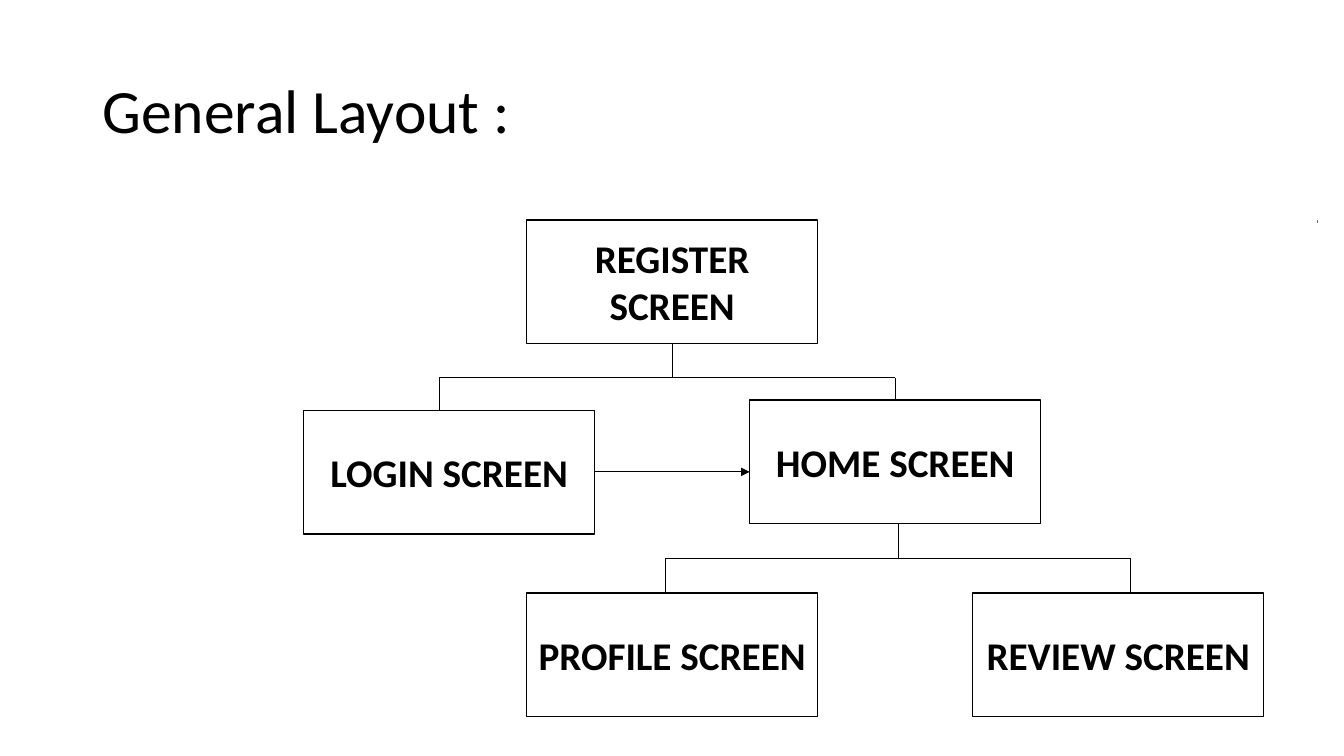
from pptx import Presentation
from pptx.dml.color import RGBColor
from pptx.enum.shapes import MSO_CONNECTOR, MSO_SHAPE
from pptx.enum.text import MSO_ANCHOR, PP_ALIGN
from pptx.oxml.ns import qn
from pptx.util import Cm, Pt
from lxml import etree

STRAIGHT = MSO_CONNECTOR.STRAIGHT
RECTANGLE = MSO_SHAPE.RECTANGLE
MIDDLE = MSO_ANCHOR.MIDDLE
LEFT, CENTER = PP_ALIGN.LEFT, PP_ALIGN.CENTER

HEADING = "General Layout :"
SCREENS = {
    "REGISTER SCREEN": (1, 5.54),
    "LOGIN SCREEN": (0, 10.34),
    "HOME SCREEN": (2, 10.08),
    "PROFILE SCREEN": (1, 14.94),
    "REVIEW SCREEN": (3, 14.94),
}
BRANCHES = [
    ("REGISTER SCREEN", 16.94, {"LOGIN SCREEN": 11.07, "HOME SCREEN": 22.56}),
    ("HOME SCREEN", 22.63, {"PROFILE SCREEN": 16.76, "REVIEW SCREEN": 28.48}),
]
COLORS = {"ink": "000000", "paper": "FFFFFF", "tick": "4472C4"}
FONT = "Calibri"
FIRST_LEFT, COLUMN_STEP = 7.65, 5.62
BOX_WIDTH, BOX_HEIGHT = 7.34, 3.12
STEM = 0.86
FLOW_Y = 11.89
TICK_X, TICK_TOP, TICK_BOTTOM = 33.2, 5.54, 5.61


def color(name):
    return RGBColor.from_string(COLORS[name])


def write(frame, text, size, align, bold=False):
    frame.word_wrap = True
    frame.vertical_anchor = MIDDLE
    paragraph = frame.paragraphs[0]
    paragraph.alignment = align
    run = paragraph.add_run()
    run.text = text
    run.font.name = FONT
    run.font.size = Pt(size)
    run.font.bold = bold
    run.font.color.rgb = color("ink")
    return paragraph


def connect(x1, y1, x2, y2, ink="ink", arrow=False):
    link = slide.shapes.add_connector(STRAIGHT, Cm(x1), Cm(y1), Cm(x2), Cm(y2))
    link.line.color.rgb = color(ink)
    link.line.width = Pt(0.5)
    properties = link._element.spPr
    if arrow:
        etree.SubElement(properties.find(qn("a:ln")), qn("a:tailEnd"), type="triangle")
    etree.SubElement(properties, qn("a:effectLst"))


def left_of(screen):
    return FIRST_LEFT + SCREENS[screen][0] * COLUMN_STEP


def top_of(screen):
    return SCREENS[screen][1]


presentation = Presentation()
presentation.slide_width, presentation.slide_height = Cm(33.87), Cm(19.05)
slide = presentation.slides.add_slide(presentation.slide_layouts[5])

heading = slide.shapes.title
heading.left, heading.top, heading.width, heading.height = Cm(2.33), Cm(1.01), Cm(29.21), Cm(3.68)
write(heading.text_frame, HEADING, 44, LEFT).line_spacing = 0.9

for parent, stem_x, children in BRANCHES:
    stem_top = top_of(parent) + BOX_HEIGHT
    bar_y = stem_top + STEM
    connect(stem_x, stem_top, stem_x, bar_y)
    for child, child_x in children.items():
        connect(stem_x, bar_y, child_x, bar_y)
        connect(child_x, bar_y, child_x, top_of(child))

for screen in SCREENS:
    box = slide.shapes.add_shape(
        RECTANGLE, Cm(left_of(screen)), Cm(top_of(screen)), Cm(BOX_WIDTH), Cm(BOX_HEIGHT))
    box.shadow.inherit = False
    box.fill.solid()
    box.fill.fore_color.rgb = color("paper")
    box.line.color.rgb = color("ink")
    box.line.width = Pt(1)
    write(box.text_frame, screen, 28, CENTER, bold=True)

connect(left_of("LOGIN SCREEN") + BOX_WIDTH, FLOW_Y, left_of("HOME SCREEN"), FLOW_Y, arrow=True)
connect(TICK_X, TICK_TOP, TICK_X, TICK_BOTTOM, ink="tick")

presentation.save("out.pptx")
